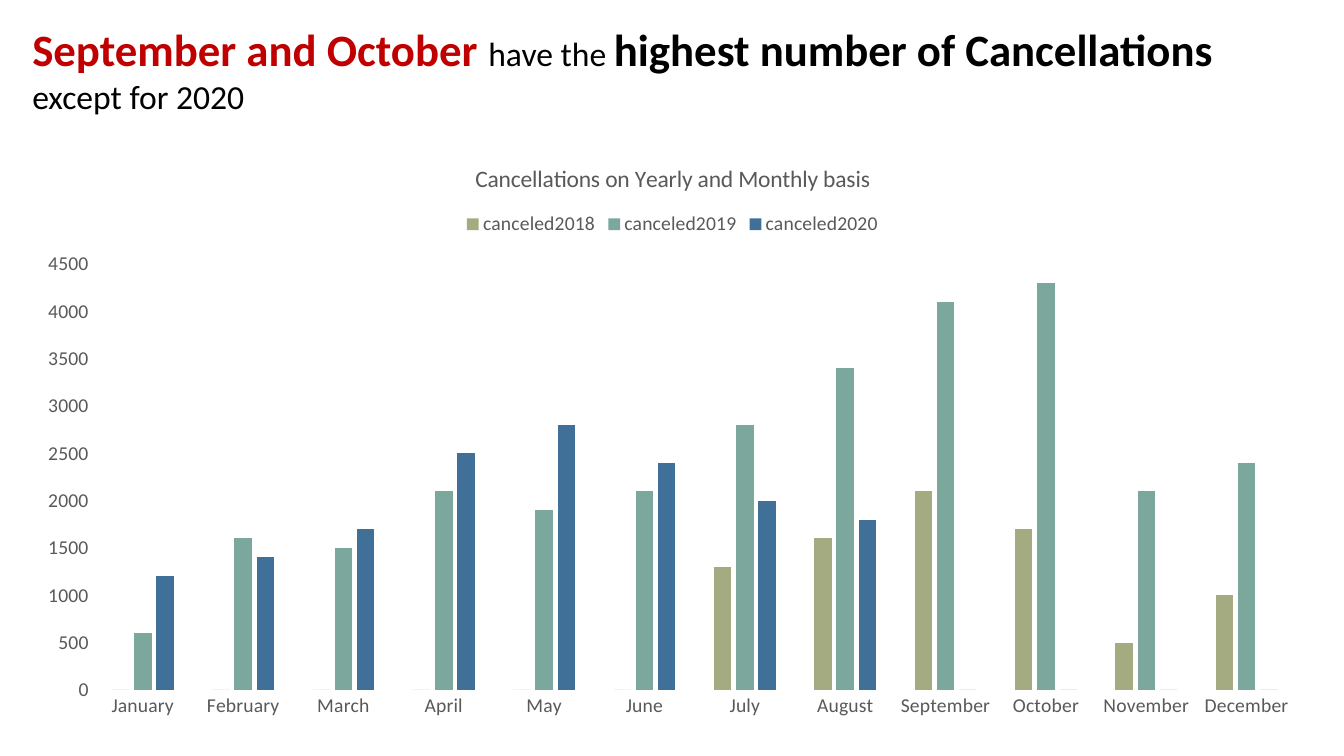
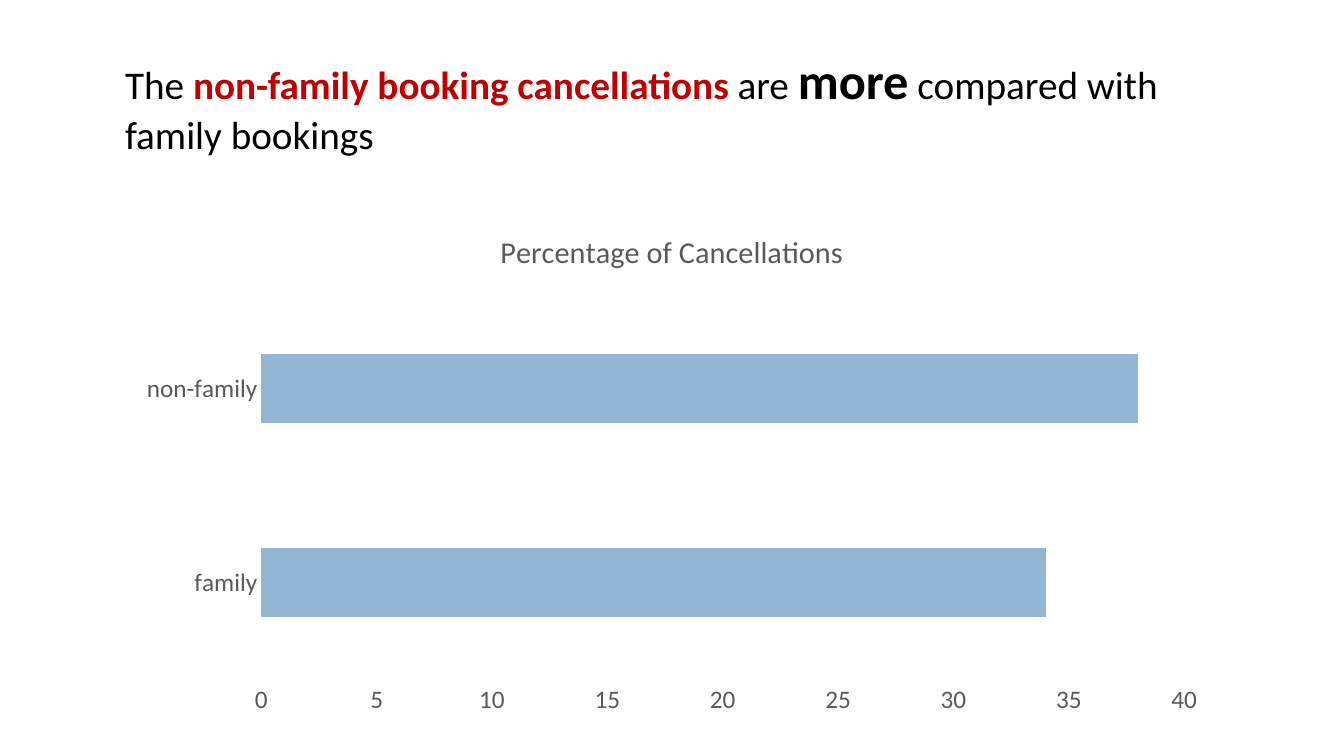
from pptx import Presentation
from pptx import util as u
from pptx.chart.data import CategoryChartData
from pptx.dml.color import RGBColor
from pptx.enum import chart as ch, text

FONT = "Calibri"
COLORS = {"ink": "000000", "accent": "C00000", "label": "595959",
          "olive": "A5AB81", "sage": "7BA79D", "navy": "407097", "sky": "94B6D2"}

SLIDES = [
    {
        "headline": [("September and October ", 32, "accent", True),
                     ("have the ", 24, "ink", False),
                     ("highest number of Cancellations ", 32, "ink", True),
                     ("except for 2020 ", 24, "ink", False)],
        "headline_box": (0.22, 0.17, 12.76, 1.04),
        "chart_box": (0.22, 1.4, 12.9, 5.84),
        "kind": ch.XL_CHART_TYPE.COLUMN_CLUSTERED,
        "chart_title": "Cancellations on Yearly and Monthly basis",
        "size": 14,
        "plot": {"gap_width": 219, "overlap": -27},
        "scale": {"minimum_scale": 0, "maximum_scale": 4500, "major_unit": 500},
        "legend": True,
        "categories": ["January", "February", "March", "April", "May", "June", "July",
                       "August", "September", "October", "November", "December"],
        "series": [
            ("canceled2018", "olive",
             (0, 0, 0, 0, 0, 0, 1300, 1600, 2100, 1700, 500, 1000)),
            ("canceled2019", "sage",
             (600, 1600, 1500, 2100, 1900, 2100, 2800, 3400, 4100, 4300, 2100, 2400)),
            ("canceled2020", "navy",
             (1200, 1400, 1700, 2500, 2800, 2400, 2000, 1800, 0, 0, 0, 0)),
        ],
    },
    {
        "headline": [("The ", 28, "ink", False),
                     ("non-family booking cancellations ", 28, "accent", True),
                     ("are ", 28, "ink", False),
                     ("more", 36, "ink", True),
                     (" compared with family bookings ", 28, "ink", False)],
        "headline_box": (1.14, 0.44, 10.85, 1.18),
        "chart_box": (1.24, 2.08, 10.85, 5.11),
        "kind": ch.XL_CHART_TYPE.BAR_CLUSTERED,
        "chart_title": "Percentage of Cancellations",
        "size": 18,
        "plot": {"gap_width": 182},
        "scale": {"minimum_scale": 0, "maximum_scale": 40, "major_unit": 5},
        "legend": False,
        "categories": ["family", "non-family"],
        "series": [("Series 1", "sky", (34, 38))],
    },
]


def apply(target, values):
    for name, value in values.items():
        setattr(target, name, value)


def style_font(font, size, color, bold=False):
    apply(font, {"name": FONT, "size": u.Pt(size), "bold": bold})
    font.color.rgb = RGBColor.from_string(COLORS[color])


def add_headline(slide, content):
    headline = slide.shapes.title
    apply(headline, dict(zip(("left", "top", "width", "height"),
                             map(u.Inches, content["headline_box"]))))
    apply(headline.text_frame, {"word_wrap": True,
                                "auto_size": text.MSO_AUTO_SIZE.NONE,
                                "vertical_anchor": text.MSO_ANCHOR.TOP})
    sentence = headline.text_frame.paragraphs[0]
    apply(sentence, {"alignment": text.PP_ALIGN.LEFT, "line_spacing": 1.0,
                     "space_before": u.Pt(0)})
    for words, size, color, bold in content["headline"]:
        phrase = sentence.add_run()
        phrase.text = words
        style_font(phrase.font, size, color, bold)


def add_cancellations(slide, content):
    size = content["size"]
    figures = CategoryChartData()
    figures.categories = content["categories"]
    for name, _, values in content["series"]:
        figures.add_series(name, values)
    chart = slide.shapes.add_chart(
        content["kind"], *map(u.Inches, content["chart_box"]), figures).chart
    style_font(chart.font, size, "label")

    chart.has_title = True
    caption = chart.chart_title.text_frame
    caption.text = content["chart_title"]
    style_font(caption.paragraphs[0].runs[0].font, size * 1.2, "label")

    chart.has_legend = content["legend"]
    if content["legend"]:
        apply(chart.legend, {"position": ch.XL_LEGEND_POSITION.TOP,
                             "include_in_layout": False})
        style_font(chart.legend.font, size, "label")

    for axis in (chart.category_axis, chart.value_axis):
        apply(axis, {"has_major_gridlines": False,
                     "major_tick_mark": ch.XL_TICK_MARK.NONE,
                     "minor_tick_mark": ch.XL_TICK_MARK.NONE})
        axis.format.line.fill.background()
        style_font(axis.tick_labels.font, size, "label")
    apply(chart.value_axis, content["scale"])

    plot = chart.plots[0]
    apply(plot, {"vary_by_categories": False, **content["plot"]})
    for bars, (_, color, _) in zip(plot.series, content["series"]):
        bars.format.fill.solid()
        bars.format.fill.fore_color.rgb = RGBColor.from_string(COLORS[color])


deck = Presentation()
apply(deck, {"slide_width": u.Inches(13.33), "slide_height": u.Inches(7.5)})
for content in SLIDES:
    slide = deck.slides.add_slide(deck.slide_layouts[5])
    add_headline(slide, content)
    add_cancellations(slide, content)
deck.save("out.pptx")
